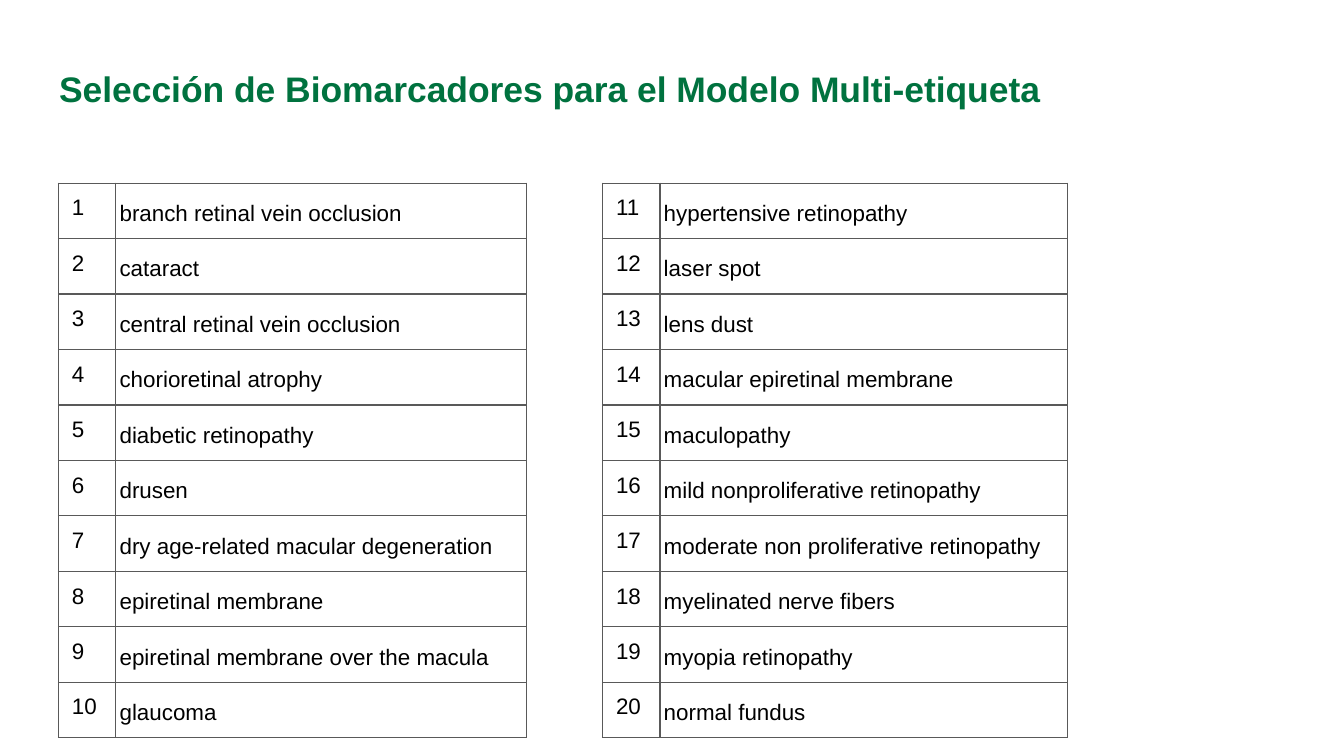
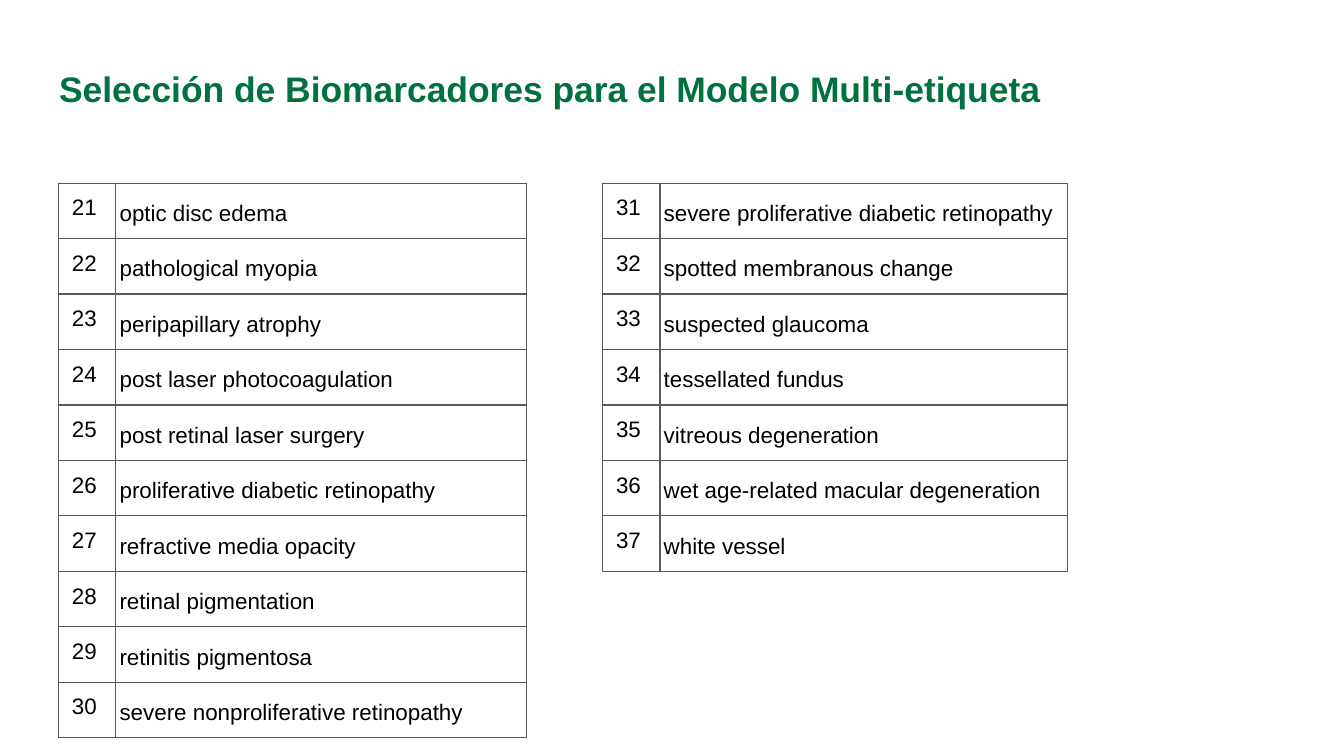
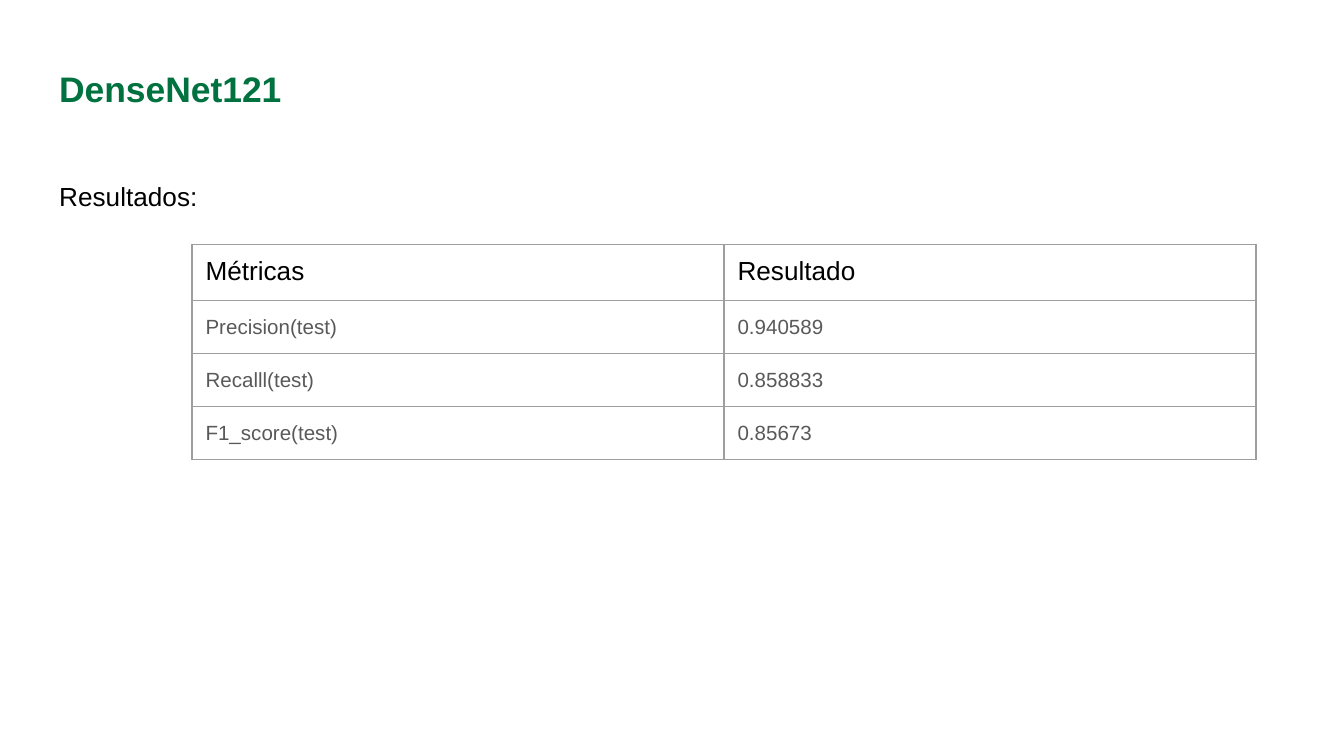
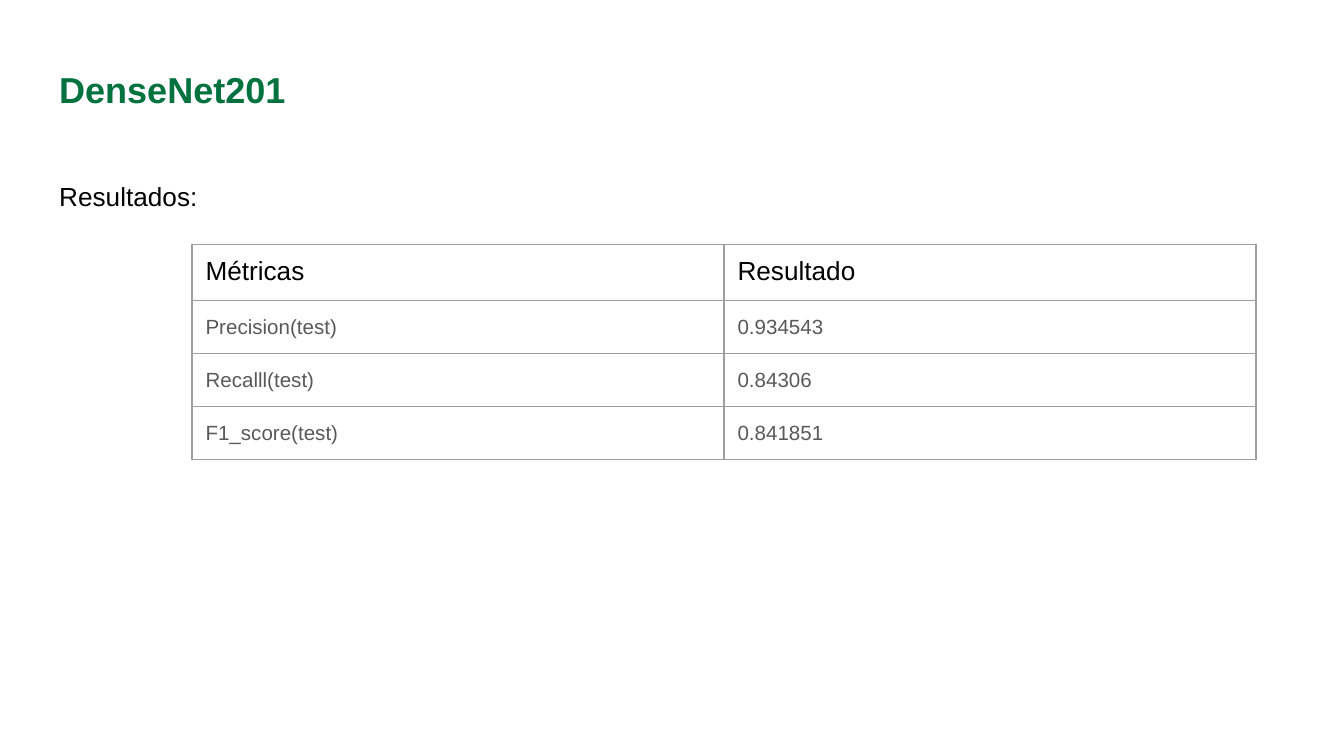
from dataclasses import dataclass

from lxml import etree
from pptx import Presentation
from pptx.dml.color import RGBColor
from pptx.enum.text import MSO_ANCHOR, PP_ALIGN
from pptx.oxml.ns import qn
from pptx.util import Pt

TOP, BOTTOM = MSO_ANCHOR.TOP, MSO_ANCHOR.BOTTOM
LEFT, JUSTIFY = PP_ALIGN.LEFT, PP_ALIGN.JUSTIFY


@dataclass(frozen=True)
class Theme:
    """Hold the colours, type sizes and spacing shared by all slides."""

    font: str = "Arial"
    green: str = "00723F"
    black: str = "000000"
    grey: str = "595959"
    light_grey: str = "9E9E9E"
    title_size: float = 19
    text_size: float = 14
    label_size: float = 12
    value_size: float = 11
    loose: float = 1.14
    inset: float = 7.2
    cell_inset: float = 6.66
    tight_inset: float = 2
    border: float = 0.75


THEME = Theme()
PAGE_SIZE = (720, 405)
TITLE_BOX = (24.6, 29, 671, 45)
BODY_BOX = (24.6, 87, 671, 269)
RESULTS_BOX = (102.9, 131, 570, 80)
BIOMARKER_BOXES = ((31.3, 98.1, 250.6, 216), (322.8, 98.1, 249.2, 216))
NUMBER_WIDTH = 30.8
ROWS_PER_TABLE = 10

BIOMARKER_TITLE = "Selección de Biomarcadores para el Modelo Multi-etiqueta"
BIOMARKERS = (
    "branch retinal vein occlusion",
    "cataract",
    "central retinal vein occlusion",
    "chorioretinal atrophy",
    "diabetic retinopathy",
    "drusen",
    "dry age-related macular degeneration",
    "epiretinal membrane",
    "epiretinal membrane over the macula",
    "glaucoma",
    "hypertensive retinopathy",
    "laser spot",
    "lens dust",
    "macular epiretinal membrane",
    "maculopathy",
    "mild nonproliferative retinopathy",
    "moderate non proliferative retinopathy",
    "myelinated nerve fibers",
    "myopia retinopathy",
    "normal fundus",
    "optic disc edema",
    "pathological myopia",
    "peripapillary atrophy",
    "post laser photocoagulation",
    "post retinal laser surgery",
    "proliferative diabetic retinopathy",
    "refractive media opacity",
    "retinal pigmentation",
    "retinitis pigmentosa",
    "severe nonproliferative retinopathy",
    "severe proliferative diabetic retinopathy",
    "spotted membranous change",
    "suspected glaucoma",
    "tessellated fundus",
    "vitreous degeneration",
    "wet age-related macular degeneration",
    "white vessel",
)
METRICS = ("Precision(test)", "Recalll(test)", "F1_score(test)")
MODELS = (
    ("DenseNet121", 19, ("0.940589", "0.858833", "0.85673")),
    ("DenseNet201", 19.3, ("0.934543", "0.84306", "0.841851")),
)


def write_text(frame, text, *, size, color=THEME.black, bold=False,
               align=LEFT, spacing=None):
    """Write one formatted paragraph into a text frame."""
    para = frame.paragraphs[0]
    para.alignment = align
    if spacing:
        para.line_spacing = spacing
    span = para.add_run()
    span.text = text
    span.font.name = THEME.font
    span.font.size = Pt(size)
    span.font.bold = bold
    span.font.color.rgb = RGBColor.from_string(color)


def set_margins(target, side, vertical):
    """Set the inner margins of a text frame or a cell."""
    target.margin_left = target.margin_right = Pt(side)
    target.margin_top = target.margin_bottom = Pt(vertical)


def add_text_box(page, box, text, **text_format):
    """Place a wrapping text box in the given box."""
    frame = page.shapes.add_textbox(*map(Pt, box)).text_frame
    frame.word_wrap = True
    frame.vertical_anchor = TOP
    set_margins(frame, THEME.inset, THEME.inset)
    write_text(frame, text, **text_format)


def draw_borders(cell, color):
    """Draw a solid line on the four sides of a cell."""
    properties = cell._tc.get_or_add_tcPr()
    for side in ("a:lnL", "a:lnR", "a:lnT", "a:lnB"):
        line = etree.SubElement(properties, qn(side), w=str(Pt(THEME.border)))
        fill = etree.SubElement(line, qn("a:solidFill"))
        etree.SubElement(fill, qn("a:srgbClr"), val=color)


def fill_cell(cell, text, border, *, anchor=TOP, side=THEME.inset, **text_format):
    """Write a bordered cell without a fill."""
    set_margins(cell, side, THEME.cell_inset)
    cell.vertical_anchor = anchor
    draw_borders(cell, border)
    cell.fill.background()
    write_text(cell.text_frame, text, **text_format)


def add_grid(page, box, row_count, column_widths):
    """Add a plain table with the given column widths and equal rows."""
    grid = page.shapes.add_table(row_count, len(column_widths), *map(Pt, box)).table
    grid.first_row = grid.horz_banding = False
    for column, width in zip(grid.columns, column_widths):
        column.width = Pt(width)
    return grid


def add_biomarker_table(page, box, first_number, names):
    """Add a numbered list of biomarkers."""
    left, top, width, height = box
    row_height = height / ROWS_PER_TABLE
    grid = add_grid(page, (left, top, width, row_height * len(names)),
                    len(names), (NUMBER_WIDTH, width - NUMBER_WIDTH))
    for row, name in enumerate(names):
        fill_cell(grid.cell(row, 0), str(first_number + row), THEME.grey,
                  size=THEME.label_size)
        fill_cell(grid.cell(row, 1), name, THEME.grey, anchor=BOTTOM,
                  side=THEME.tight_inset, size=THEME.label_size,
                  spacing=THEME.loose)


def add_results_table(page, box, scores):
    """Add the table of test metrics."""
    header = ("Métricas", "Resultado")
    grid = add_grid(page, box, len(scores) + 1, (box[2] / 2,) * 2)
    for column, label in enumerate(header):
        fill_cell(grid.cell(0, column), label, THEME.light_grey,
                  size=THEME.text_size)
    for row, values in enumerate(zip(METRICS, scores), 1):
        for column, value in enumerate(values):
            fill_cell(grid.cell(row, column), value, THEME.light_grey,
                      size=THEME.value_size, color=THEME.grey,
                      align=JUSTIFY, spacing=THEME.loose)


def add_page(deck, title, title_size=THEME.title_size):
    """Add a blank page with the shared title style."""
    page = deck.slides.add_slide(deck.slide_layouts[6])
    add_text_box(page, TITLE_BOX, title, size=title_size, color=THEME.green,
                 bold=True)
    return page


def build_biomarker_page(deck, start):
    """Build a page with two biomarker tables, from the given index on."""
    page = add_page(deck, BIOMARKER_TITLE)
    for position, box in enumerate(BIOMARKER_BOXES):
        first = start + position * ROWS_PER_TABLE
        add_biomarker_table(page, box, first + 1,
                            BIOMARKERS[first:first + ROWS_PER_TABLE])


def build_results_page(deck, model, title_size, scores):
    """Build a page with the results of one model."""
    page = add_page(deck, model, title_size)
    add_text_box(page, BODY_BOX, "Resultados:", size=THEME.text_size,
                 align=JUSTIFY, spacing=THEME.loose)
    add_results_table(page, RESULTS_BOX, scores)


def main():
    """Build and save the deck."""
    deck = Presentation()
    deck.slide_width, deck.slide_height = map(Pt, PAGE_SIZE)
    for start in range(0, len(BIOMARKERS), ROWS_PER_TABLE * len(BIOMARKER_BOXES)):
        build_biomarker_page(deck, start)
    for model in MODELS:
        build_results_page(deck, *model)
    deck.save("out.pptx")


if __name__ == "__main__":
    main()
